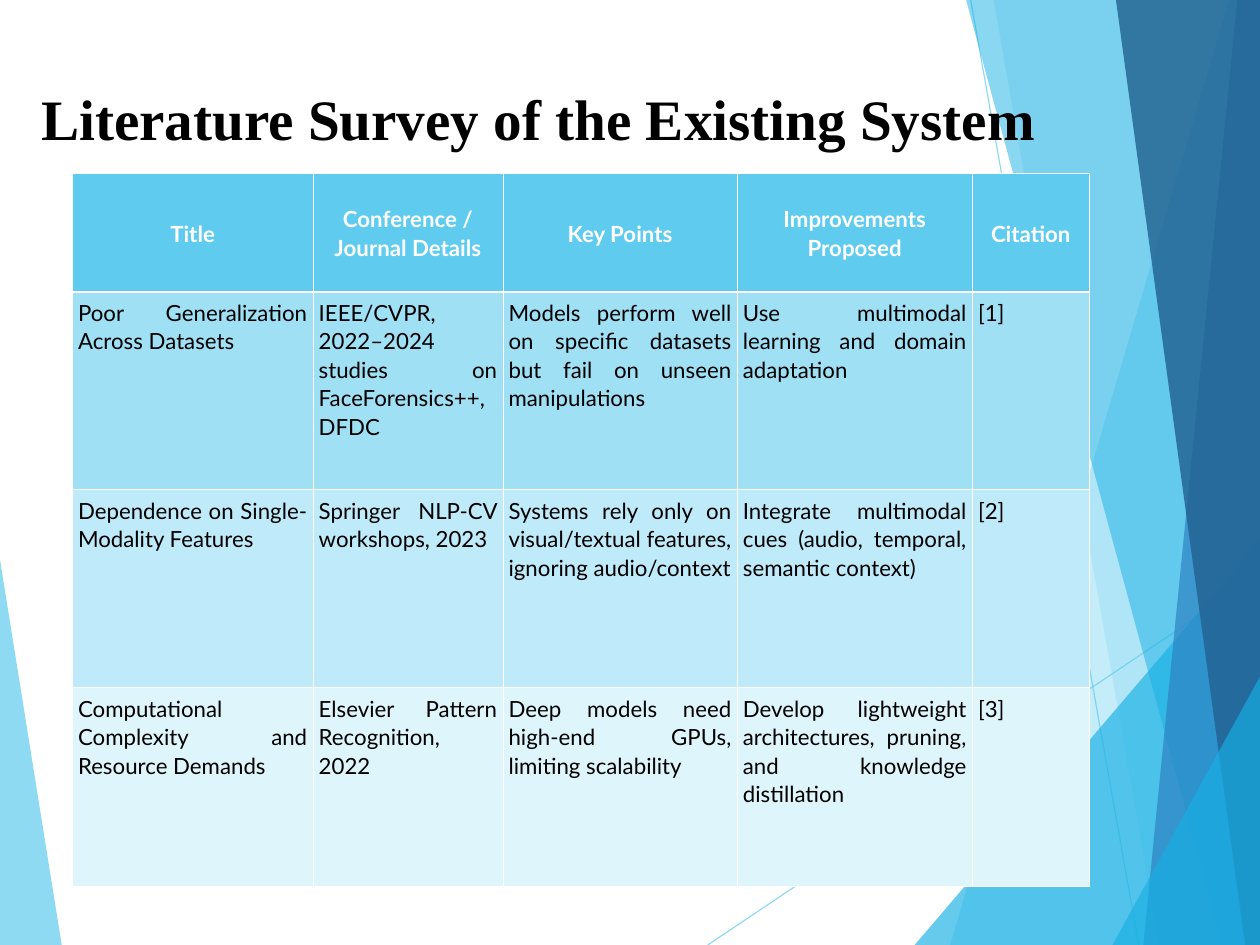
from lxml.etree import SubElement
from pptx import Presentation
from pptx.dml.color import RGBColor
from pptx.enum.text import MSO_ANCHOR, MSO_AUTO_SIZE, PP_ALIGN
from pptx.oxml import parse_xml
from pptx.oxml.ns import nsdecls, qn
from pptx.util import Cm, Inches, Pt

# Content
TITLE = "Literature Survey of the Existing System"
HEAD = ["Title", "Conference / Journal Details", "Key Points",
        "Improvements Proposed", "Citation"]
ROWS = [
    ["Poor Generalization Across Datasets",
     "IEEE/CVPR, 2022–2024 studies on FaceForensics++, DFDC",
     "Models perform well on specific datasets but fail on unseen manipulations",
     "Use multimodal learning and domain adaptation", "[1]"],
    ["Dependence on Single-Modality Features",
     "Springer NLP-CV workshops, 2023",
     "Systems rely only on visual/textual features, ignoring audio/context",
     "Integrate multimodal cues (audio, temporal, semantic context)", "[2]"],
    ["Computational Complexity and Resource Demands",
     "Elsevier Pattern Recognition, 2022",
     "Deep models need high-end GPUs, limiting scalability",
     "Develop lightweight architectures, pruning, and knowledge distillation",
     "[3]"],
]

# Look
HUES = {"sky": "5FCBEF", "cyan": "17B0E4", "blue": "2E83C3", "navy": "236292",
        "white": "FFFFFF", "black": "000000"}
BANDS = ["5FCBEF", "9FE0F5", "BFEAF9", "DFF5FC"]

# Grid: table columns and rows as percent of the table
COLS = [23.67, 18.67, 23.04, 23.12, 11.5]
TALL = [16.6, 27.8, 27.8, 27.8]

# Facets, percent of slide: hue, opacity, edge from (x, y) to (x, 100), side
LEFT = ("sky", 70, 0, 59.2, 4.9, 0)
FACETS = [
    ("sky", 36, 97.55, 0, 75.41, 100),
    ("sky", 20, 78.86, 0, 92.01, 100),
    ("cyan", 66, 100, 57.19, 72.6, 100),
    ("cyan", 50, 76.68, 0, 97.01, 100),
    ("blue", 70, 98.19, 0, 90.74, 100),
    ("navy", 82, 88.57, 0, 98.82, 100),
    ("cyan", 66, 100, 71.6, 88.29, 100),
]
RAYS = [(56.17, 100, 100, 60.82), (77.04, 0, 90.38, 100)]

deck = Presentation()
deck.slide_width, deck.slide_height = Cm(28), Cm(21)
slide = deck.slides.add_slide(deck.slide_layouts[5])
shapes = slide.shapes


def spot(x, y):
    return (int(deck.slide_width * x / 100), int(deck.slide_height * y / 100))


def fade(part, share):
    for hue in part.iter(qn("a:srgbClr")):
        SubElement(hue, qn("a:alpha")).set("val", str(share * 1000))


def write(frame, text, *, font, size, hue, bold=False, align=PP_ALIGN.LEFT,
          lead=1.0, after=0):
    frame.word_wrap = True
    frame.text = text
    para = frame.paragraphs[0]
    para.alignment, para.line_spacing = align, lead
    para.space_before, para.space_after = Pt(0), Pt(after)
    face = para.runs[0].font
    face.name, face.size, face.bold = font, Pt(size), bold
    face.color.rgb = RGBColor.from_string(HUES[hue])


def facet(hue, share, x, y, foot, side):
    pen = shapes.build_freeform(*spot(x, y))
    pen.add_line_segments([spot(foot, 100), spot(side, 100), spot(side, y)])
    form = pen.convert_to_shape()
    form.shadow.inherit = False
    form.fill.solid()
    form.fill.fore_color.rgb = RGBColor.from_string(HUES[hue])
    form.line.fill.background()
    fade(form._element.spPr, share)


def ray(x1, y1, x2, y2):
    line = shapes.add_connector(1, *spot(x1, y1), *spot(x2, y2))
    line.line.color.rgb = RGBColor.from_string(HUES["sky"])
    line.line.width = Pt(0.75)
    part = line._element.spPr
    fade(part, 70)
    SubElement(part, qn("a:effectLst"))


def edge(cell, thick):
    props = cell._tc.get_or_add_tcPr()
    for place, side in enumerate("LRTB"):
        width = Pt(thick.get(side, 0.45))
        props.insert(place, parse_xml(
            f'<a:ln{side} {nsdecls("a")} w="{width}"><a:solidFill>'
            f'<a:srgbClr val="{HUES["white"]}"/></a:solidFill></a:ln{side}>'))


# Backdrop
facet(*LEFT)
for item in RAYS:
    ray(*item)
for item in FACETS:
    facet(*item)

# Title, in front of the backdrop
title = shapes.title
shapes._spTree.append(title._element)
title.left, title.top = spot(2.18, 4.28)
title.width, title.height = spot(90, 16.69)
frame = title.text_frame
write(frame, TITLE, font="Times New Roman", size=36, hue="black", bold=True,
      lead=0.93)
frame.auto_size = MSO_AUTO_SIZE.NONE
frame.vertical_anchor = MSO_ANCHOR.MIDDLE
frame.margin_left, frame.margin_top = Inches(0.12), Inches(0.03)
frame.margin_right = frame.margin_bottom = 0

# Table
wide, high = spot(80.72, 75.4)
grid = shapes.add_table(len(TALL), len(COLS), *spot(5.74, 18.35),
                        wide, high).table
grid.horz_banding = False
for col, share in zip(grid.columns, COLS):
    col.width = int(wide * share / 100)
for row, share in zip(grid.rows, TALL):
    row.height = int(high * share / 100)

for r, texts in enumerate([HEAD] + ROWS):
    top = r == 0
    thick = {0: {"B": 1.47}, 1: {"T": 1.47}}.get(r, {})
    for c, text in enumerate(texts):
        cell = grid.cell(r, c)
        write(cell.text_frame, text, font="Lato", size=14, bold=top,
              hue="white" if top else "black", lead=1.07, after=8,
              align=PP_ALIGN.CENTER if top else PP_ALIGN.JUSTIFY)
        cell.vertical_anchor = MSO_ANCHOR.MIDDLE if top else MSO_ANCHOR.TOP
        cell.margin_left = cell.margin_right = Inches(0.05)
        cell.margin_top = cell.margin_bottom = Inches(0.05)
        cell.fill.solid()
        cell.fill.fore_color.rgb = RGBColor.from_string(BANDS[r])
        edge(cell, thick)

deck.save("out.pptx")
